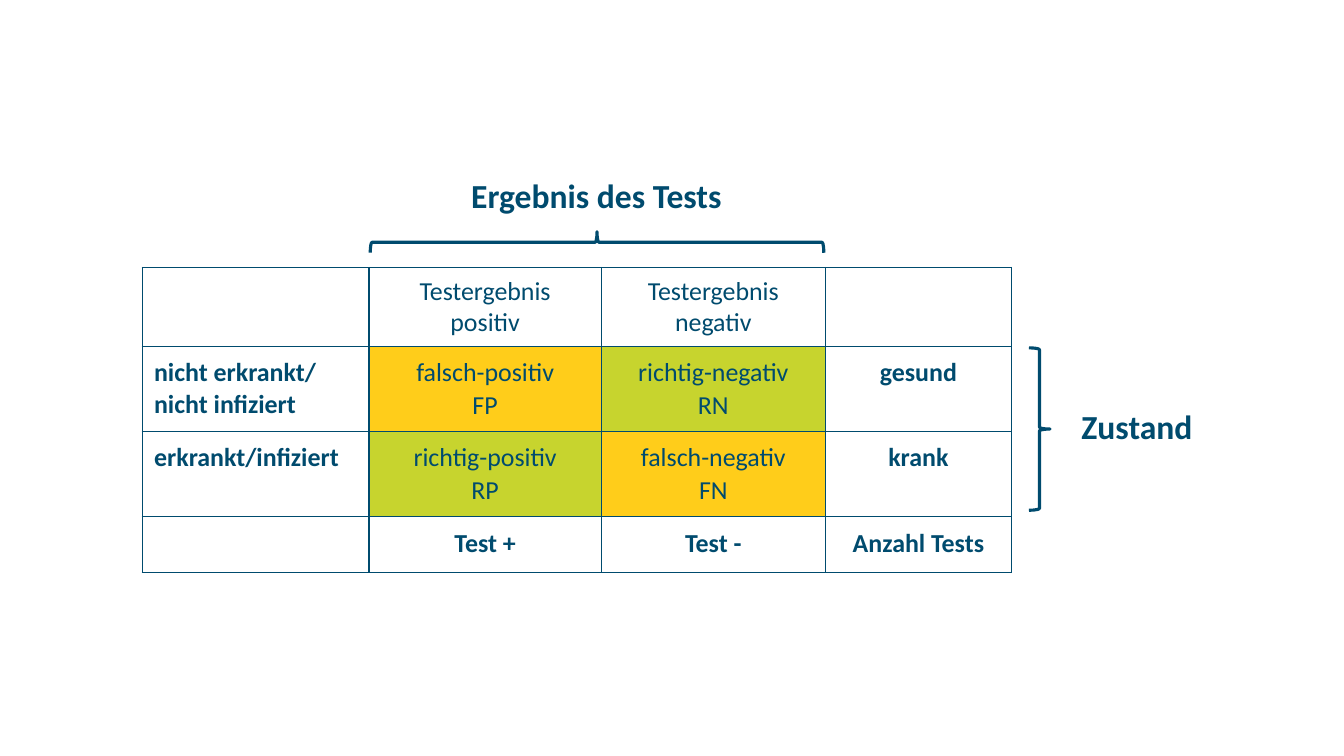
"""Build a slide with a confusion matrix of test results against health status."""
from lxml.etree import SubElement
from pptx import Presentation
from pptx.dml.color import RGBColor
from pptx.enum.shapes import MSO_SHAPE
from pptx.enum.text import MSO_ANCHOR, PP_ALIGN
from pptx.oxml.ns import qn
from pptx.util import Pt

COLORS = {"text": "004B6E", "plain": "FFFFFF", "wrong": "FFCD1A", "right": "C7D42E"}


def write_text(frame, text, size=18.5, bold=False, align=PP_ALIGN.CENTER, gap=0, spacing=None):
    """Write one paragraph per line, with the gap before all but the first."""
    for index, line in enumerate(text.split("\n")):
        paragraph = frame.add_paragraph() if index else frame.paragraphs[0]
        paragraph.text = line
        paragraph.alignment = align
        paragraph.line_spacing = spacing
        if index:
            paragraph.space_before = Pt(gap)
        for run in paragraph.runs:
            run.font.name = "Calibri"
            run.font.size = Pt(size)
            run.font.bold = bold
            run.font.color.rgb = RGBColor.from_string(COLORS["text"])


def add_borders(cell):
    """Draw a thin line on all four sides of a table cell."""
    properties = cell._tc.get_or_add_tcPr()
    for side in ("a:lnL", "a:lnR", "a:lnT", "a:lnB"):
        line = SubElement(properties, qn(side), w=str(Pt(1)))
        fill = SubElement(line, qn("a:solidFill"))
        SubElement(fill, qn("a:srgbClr"), val=COLORS["text"])


presentation = Presentation()
presentation.slide_width = Pt(960)
presentation.slide_height = Pt(540)
slide = presentation.slides.add_slide(presentation.slide_layouts[6])

column_widths = [162, 166, 160, 133]
row_heights = [56.5, 60.5, 60.5, 40]
row_margins = [5.75, 7.2, 7.2, 8.65]
matrix = [
    [("", "plain", False), ("Testergebnis\npositiv", "plain", False),
     ("Testergebnis\nnegativ", "plain", False), ("", "plain", False)],
    [("nicht erkrankt/\vnicht infiziert", "plain", True), ("falsch-positiv\nFP", "wrong", False),
     ("richtig-negativ\nRN", "right", False), ("gesund", "plain", True)],
    [("erkrankt/infiziert", "plain", True), ("richtig-positiv\nRP", "right", False),
     ("falsch-negativ\nFN", "wrong", False), ("krank", "plain", True)],
    [("", "plain", False), ("Test +", "plain", True),
     ("Test -", "plain", True), ("Anzahl Tests", "plain", True)],
]

table = slide.shapes.add_table(
    4, 4, Pt(101.5), Pt(191), Pt(sum(column_widths)), Pt(sum(row_heights))).table
table.first_row = False
table.horz_banding = False
for column, width in zip(table.columns, column_widths):
    column.width = Pt(width)
for row_index, (row, height, margin) in enumerate(zip(table.rows, row_heights, row_margins)):
    row.height = Pt(height)
    for column_index, (text, color, bold) in enumerate(matrix[row_index]):
        cell = row.cells[column_index]
        add_borders(cell)
        cell.fill.solid()
        cell.fill.fore_color.rgb = RGBColor.from_string(COLORS[color])
        cell.margin_top = cell.margin_bottom = Pt(margin)
        cell.margin_left = Pt(7.2 if column_index else 8.6)
        cell.margin_right = Pt(7.2)
        write_text(cell.text_frame, text, bold=bold, gap=1 if row_index else 0,
                   align=PP_ALIGN.CENTER if column_index else PP_ALIGN.LEFT)

braces = [(735, 248.5, 116, 0), (419, 11, 324, 270)]
for left, top, height, rotation in braces:
    brace = slide.shapes.add_shape(
        MSO_SHAPE.RIGHT_BRACE, Pt(left), Pt(top), Pt(15), Pt(height))
    brace.rotation = rotation
    brace.shadow.inherit = False
    brace.fill.background()
    brace.line.color.rgb = RGBColor.from_string(COLORS["text"])
    brace.line.width = Pt(2.25)

headings = [
    ("Ergebnis des Tests", 331, 126, 190, 33, PP_ALIGN.CENTER),
    ("Zustand", 772.5, 294, 91.5, 26, PP_ALIGN.LEFT),
]
for text, left, top, width, height, align in headings:
    frame = slide.shapes.add_textbox(Pt(left), Pt(top), Pt(width), Pt(height)).text_frame
    frame.word_wrap = True
    frame.vertical_anchor = MSO_ANCHOR.MIDDLE
    frame.margin_left = frame.margin_right = frame.margin_top = frame.margin_bottom = 0
    write_text(frame, text, size=24, bold=True, align=align, spacing=Pt(23))

presentation.save("out.pptx")
